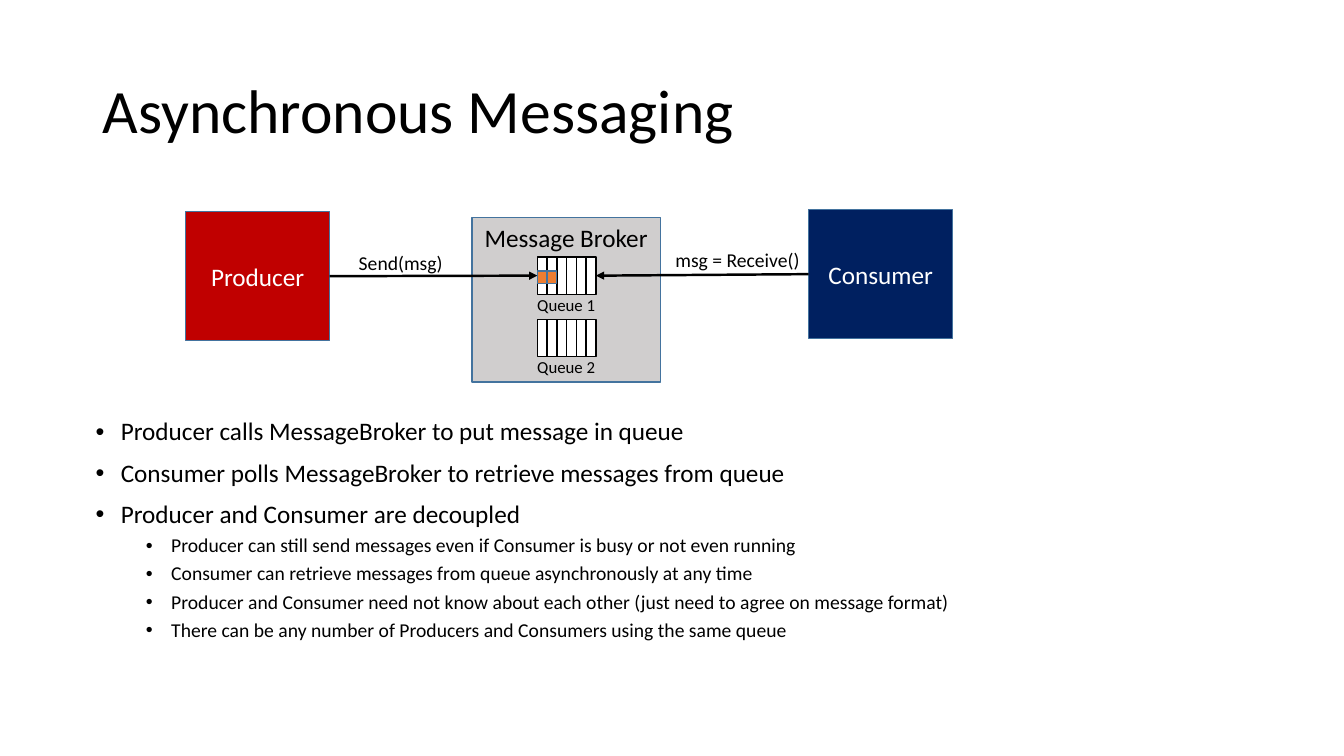
from dataclasses import dataclass

from lxml import etree
from pptx import Presentation
from pptx.dml.color import RGBColor
from pptx.enum.shapes import MSO_CONNECTOR, MSO_SHAPE
from pptx.enum.text import MSO_ANCHOR, MSO_AUTO_SIZE, PP_ALIGN
from pptx.oxml.ns import qn
from pptx.util import Inches, Pt

RECTANGLE = MSO_SHAPE.RECTANGLE
STRAIGHT = MSO_CONNECTOR.STRAIGHT
TOP, MIDDLE = MSO_ANCHOR.TOP, MSO_ANCHOR.MIDDLE
CENTER = PP_ALIGN.CENTER
FIT_SHAPE = MSO_AUTO_SIZE.SHAPE_TO_FIT_TEXT
LEFT_SIDE, RIGHT_SIDE = 1, 3

FONT = "Calibri"
COLORS = {
    "black": "000000",
    "white": "FFFFFF",
    "producer": "C00000",
    "consumer": "002060",
    "broker": "D0CECE",
    "message": "ED7D31",
    "outline": "43739E",
}
CELL_COUNT = 6
QUEUE_LEFT, QUEUE_WIDTH, QUEUE_HEIGHT = 5.33, 0.58, 0.37
CELL_WIDTH = QUEUE_WIDTH / CELL_COUNT


@dataclass
class Box:
    left: float
    top: float
    width: float
    height: float
    fill: str
    line: str = "outline"
    text: str = ""
    text_color: str = "white"
    anchor: MSO_ANCHOR = MIDDLE


@dataclass
class Label:
    text: str
    left: float
    top: float
    width: float
    height: float
    size: int


@dataclass
class Bullet:
    text: str
    level: int = 0


PRODUCER = Box(1.84, 2.1, 1.43, 1.28, "producer", text="Producer")
CONSUMER = Box(8.02, 2.08, 1.43, 1.28, "consumer", text="Consumer")
BROKER = Box(4.68, 2.16, 1.87, 1.63, "broker", text="Message Broker",
             text_color="black", anchor=TOP)
QUEUE_TOPS = (2.55, 3.17)
MESSAGES = [Box(QUEUE_LEFT + slot * CELL_WIDTH, 2.69, 0.09, 0.12, "message")
            for slot in range(2)]
LABELS = [
    Label("Send(msg)", 3.46, 2.44, 1.04, 0.34, 14),
    Label("msg = Receive()", 6.6, 2.41, 1.45, 0.34, 14),
] + [
    Label(f"Queue {number}", 5.23, top + 0.32, 0.78, 0.3, 12)
    for number, top in enumerate(QUEUE_TOPS, start=1)
]
BULLETS = [
    Bullet("Producer calls MessageBroker to put message in queue"),
    Bullet("Consumer polls MessageBroker to retrieve messages from queue"),
    Bullet("Producer and Consumer are decoupled"),
    Bullet("Producer can still send messages even if Consumer is busy or not even running", 1),
    Bullet("Consumer can retrieve messages from queue asynchronously at any time", 1),
    Bullet("Producer and Consumer need not know about each other "
           "(just need to agree on message format)", 1),
    Bullet("There can be any number of Producers and Consumers using the same queue", 1),
]


def color(name: str) -> RGBColor:
    return RGBColor.from_string(COLORS[name])


def set_font(paragraph, size: int, color_name: str = "black") -> None:
    paragraph.font.name = FONT
    paragraph.font.size = Pt(size)
    paragraph.font.color.rgb = color(color_name)


def add_text_frame(shapes, left: float, top: float, width: float, height: float):
    textbox = shapes.add_textbox(Inches(left), Inches(top), Inches(width), Inches(height))
    textbox.text_frame.word_wrap = True
    return textbox.text_frame


def add_box(shapes, box: Box):
    shape = shapes.add_shape(RECTANGLE, Inches(box.left), Inches(box.top),
                             Inches(box.width), Inches(box.height))
    shape.shadow.inherit = False
    shape.fill.solid()
    shape.fill.fore_color.rgb = color(box.fill)
    shape.line.color.rgb = color(box.line)
    shape.line.width = Pt(1)
    if box.text:
        shape.text_frame.vertical_anchor = box.anchor
        paragraph = shape.text_frame.paragraphs[0]
        paragraph.text = box.text
        paragraph.alignment = CENTER
        set_font(paragraph, 18, box.text_color)
    return shape


def add_queue(shapes, top: float) -> list:
    group = shapes.add_group_shape()
    return [add_box(group.shapes, Box(QUEUE_LEFT + slot * CELL_WIDTH, top, CELL_WIDTH,
                                      QUEUE_HEIGHT, "white", "black"))
            for slot in range(CELL_COUNT)]


def add_arrow(shapes, source, source_side: int, target, target_side: int) -> None:
    connector = shapes.add_connector(STRAIGHT, 0, 0, 0, 0)
    connector.begin_connect(source, source_side)
    connector.end_connect(target, target_side)
    connector.line.color.rgb = color("black")
    connector.line.width = Pt(1.75)
    etree.SubElement(connector.line._get_or_add_ln(), qn("a:tailEnd"), type="triangle")
    etree.SubElement(connector._element.spPr, qn("a:effectLst"))


def add_label(shapes, label: Label) -> None:
    frame = add_text_frame(shapes, label.left, label.top, label.width, label.height)
    frame.word_wrap = False
    frame.auto_size = FIT_SHAPE
    frame.text = label.text
    set_font(frame.paragraphs[0], label.size)


def add_title(shapes, text: str) -> None:
    frame = add_text_frame(shapes, 0.92, 0.4, 11.5, 1.45)
    frame.vertical_anchor = MIDDLE
    frame.text = text
    frame.paragraphs[0].line_spacing = 0.9
    set_font(frame.paragraphs[0], 44)


def add_bullets(shapes, bullets: list[Bullet]) -> None:
    frame = add_text_frame(shapes, 0.85, 4.11, 11.5, 2.34)
    frame.text = "\n".join(bullet.text for bullet in bullets)
    for paragraph, bullet in zip(frame.paragraphs, bullets):
        paragraph.level = bullet.level
        paragraph.line_spacing = 0.9
        paragraph.space_before = Pt(5 if bullet.level else 10)
        properties = paragraph._p.get_or_add_pPr()
        properties.set("marL", str(Inches(0.25 + 0.5 * bullet.level)))
        properties.set("indent", str(Inches(-0.25)))
        etree.SubElement(properties, qn("a:buFont"), typeface="Arial")
        etree.SubElement(properties, qn("a:buChar"), char="•")
        set_font(paragraph, 14 if bullet.level else 18)


def main() -> None:
    """Build the asynchronous messaging slide and save it."""
    presentation = Presentation()
    presentation.slide_width = Inches(13.33)
    presentation.slide_height = Inches(7.5)
    slide = presentation.slides.add_slide(presentation.slide_layouts[6])
    shapes = slide.shapes

    add_title(shapes, "Asynchronous Messaging")
    add_bullets(shapes, BULLETS)
    producer, consumer, _ = [add_box(shapes, box) for box in (PRODUCER, CONSUMER, BROKER)]
    first_queue, _ = [add_queue(shapes, top) for top in QUEUE_TOPS]
    add_arrow(shapes, producer, RIGHT_SIDE, first_queue[0], LEFT_SIDE)
    add_arrow(shapes, consumer, LEFT_SIDE, first_queue[-1], RIGHT_SIDE)
    for message in MESSAGES:
        add_box(shapes, message)
    for label in LABELS:
        add_label(shapes, label)

    presentation.save("out.pptx")


if __name__ == "__main__":
    main()
